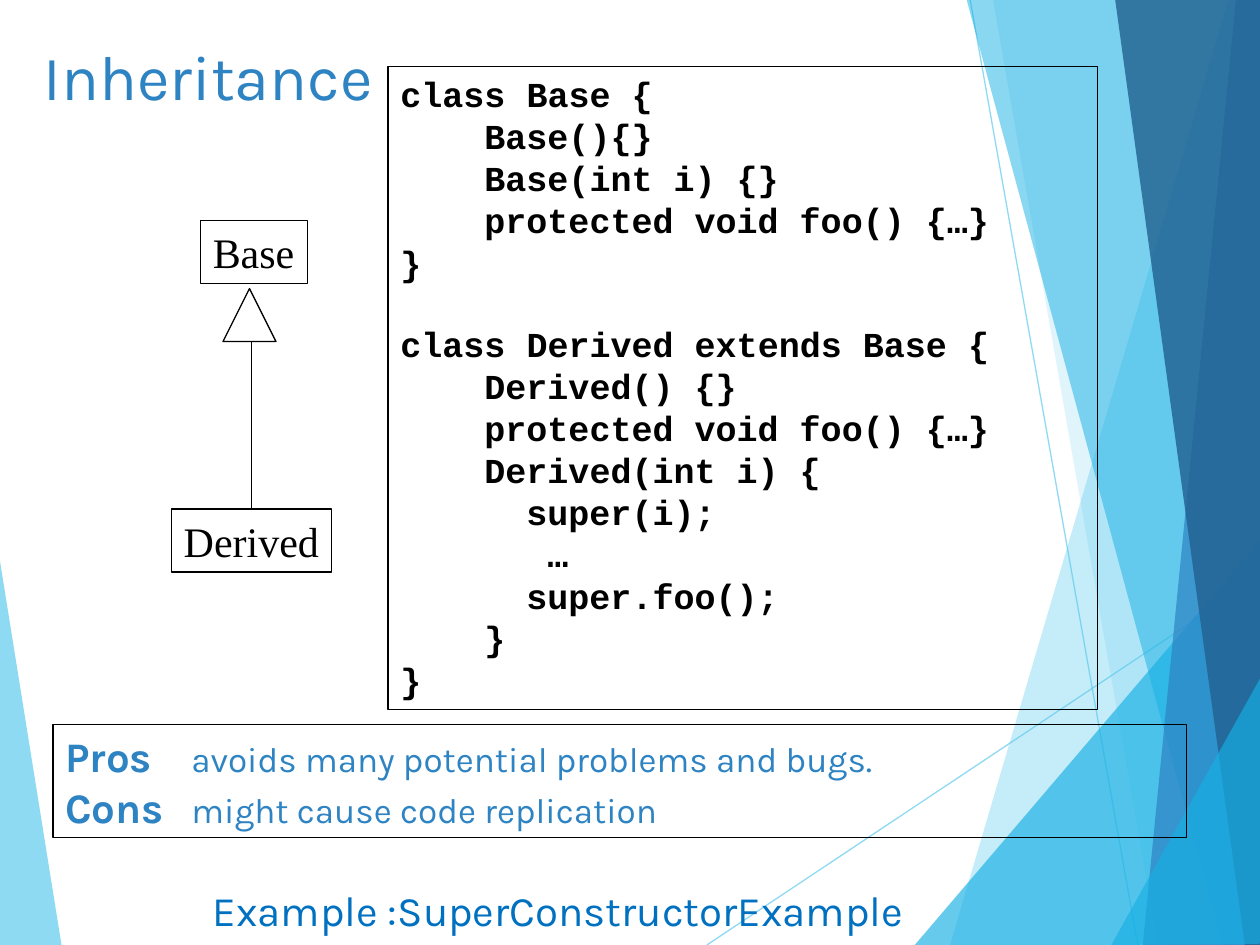
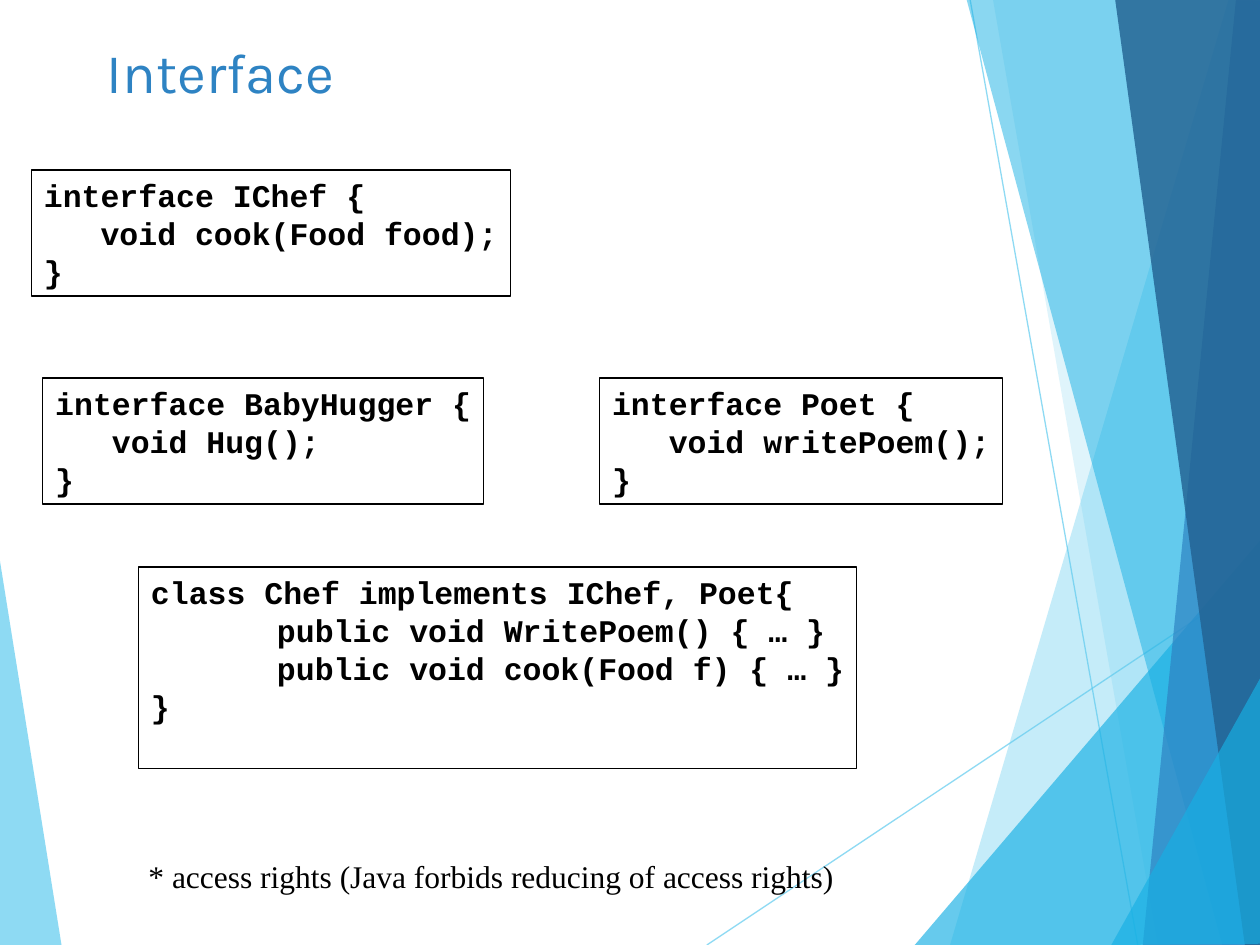
import pptx
import pptx.dml.color
import pptx.enum.shapes
import pptx.enum.text
import pptx.oxml.ns
import pptx.util
from dataclasses import dataclass
from lxml import etree

Inches = pptx.util.Inches
Pt = pptx.util.Pt
SHAPE = pptx.enum.shapes.MSO_SHAPE


@dataclass(frozen=True)
class Theme:
    sky: str = "5FCBEF"
    cyan: str = "17B0E4"
    blue: str = "2E83C3"
    navy: str = "236292"
    link: str = "0070C0"
    ink: str = "000000"
    heading_font: str = "Karla"
    code_font: str = "Courier New"
    serif_font: str = "Times New Roman"
    label_size: float = 24
    body_size: float = 20
    small_size: float = 18
    line_width: float = 0.75
    mono_advance: float = 0.6    # character width, in ems
    mono_leading: float = 1.133  # line height, in ems


THEME = Theme()

# Content -------------------------------------------------------------

INHERITANCE_TITLE = ("Inheritance", (0.25, 0.25, 3.67, 0.83), 36)
BASE_CLASS = ("Base", (1.59, 1.75, 0.85, 0.5))
DERIVED_CLASS = ("Derived", (1.36, 4.04, 1.27, 0.5))
INHERITANCE_ARROWHEAD = (1.77, 2.29, 0.42, 0.42)
INHERITANCE_CODE = ("""\
class Base {
    Base(){}
    Base(int i) {}
    protected void foo() {…}
}

class Derived extends Base {
    Derived() {}
    protected void foo() {…}
    Derived(int i) {
      super(i);
       …
      super.foo();
    }
}""", (3.08, 0.53, 5.63, 5.1))
TRADE_OFFS = [
    ("Pros", "avoids many potential problems and bugs."),
    ("Cons", "might cause code replication"),
]
TRADE_OFFS_AT = (0.42, 5.75, 9, 0.9)
EXAMPLE = ("Example :SuperConstructorExample", (1.59, 6.97, 5.83, 0.5))

INTERFACE_TITLE = ("Interface", (0.75, 0.25, 8.5, 0.58), 32)
INTERFACE_CODE = [
    ("interface Poet {\n   void writePoem();\n}", (4.76, 3, 3.2, 1)),
    ("interface IChef {\n   void cook(Food food);\n}", (0.25, 1.35, 3.8, 1)),
    ("interface BabyHugger {\n   void Hug();\n}", (0.34, 3, 3.5, 1)),
    ("class Chef implements IChef, Poet{\n"
     "\tpublic void WritePoem() { … }\n"
     "\tpublic void cook(Food f) { … }\n}", (1.1, 4.5, 5.7, 1.6)),
]
ACCESS_NOTE = ("* access rights (Java forbids reducing of access rights)",
               (1.08, 6.75, 7.33, 0.4))

# Backdrop: corner points, colour, opacity in percent
LEFT_WEDGE = ([(-0.01, 4.39), (0.49, 7.51), (-0.01, 7.5)], THEME.sky, 70)
RAYS = [((5.61, 7.5), (10.01, 4.57)), ((7.7, 0), (9.03, 7.5))]
RAY_OPACITY = 70
RIGHT_FACETS = [
    ([(9.75, 0), (7.54, 7.5), (10.02, 7.51), (10.01, 0.01)], THEME.sky, 36),
    ([(7.88, -0.01), (9.19, 7.5), (10.01, 7.5), (10.01, -0.01)], THEME.sky, 20),
    ([(7.26, 7.5), (10, 4.29), (10.01, 7.5)], THEME.cyan, 66),
    ([(7.67, -0.01), (9.7, 7.5), (10.01, 7.49), (10.01, -0.01)], THEME.cyan, 50),
    ([(9.81, -0.01), (9.07, 7.5), (10.01, 7.5), (10, -0.01)], THEME.blue, 70),
    ([(8.85, -0.01), (9.88, 7.5), (10.02, 7.5), (10, -0.01)], THEME.navy, 82),
    ([(8.82, 7.5), (10.02, 5.35), (10.02, 7.49)], THEME.cyan, 66),
]

# Drawing -------------------------------------------------------------


def rgb(colour):
    return pptx.dml.color.RGBColor.from_string(colour)


def set_opacity(properties, percent):
    """Make the first solid colour under the shape properties translucent."""
    colour = next(properties.iter(pptx.oxml.ns.qn("a:srgbClr")))
    alpha = etree.SubElement(colour, pptx.oxml.ns.qn("a:alpha"))
    alpha.set("val", str(percent * 1000))


def add_facet(slide, corners, colour, opacity):
    points = [(Inches(x), Inches(y)) for x, y in corners]
    builder = slide.shapes.build_freeform(*points[0])
    builder.add_line_segments(points[1:], close=True)
    facet = builder.convert_to_shape()
    facet.shadow.inherit = False
    facet.fill.solid()
    facet.fill.fore_color.rgb = rgb(colour)
    set_opacity(facet._element.spPr, opacity)
    facet.line.fill.background()


def add_line(slide, start, end, colour):
    line = slide.shapes.add_connector(
        pptx.enum.shapes.MSO_CONNECTOR.STRAIGHT,
        *(Inches(value) for value in (*start, *end)))
    line.line.color.rgb = rgb(colour)
    line.line.width = Pt(THEME.line_width)
    etree.SubElement(line._element.spPr, pptx.oxml.ns.qn("a:effectLst"))
    return line


def add_backdrop(slide):
    add_facet(slide, *LEFT_WEDGE)
    for start, end in RAYS:
        ray = add_line(slide, start, end, THEME.sky)
        set_opacity(ray._element.spPr, RAY_OPACITY)
    for facet in RIGHT_FACETS:
        add_facet(slide, *facet)


def style_run(run, size, font, colour, bold=False):
    run.font.size = Pt(size)
    run.font.name = font
    run.font.color.rgb = rgb(colour)
    run.font.bold = bold


def prepare_frame(frame):
    frame.word_wrap = True
    frame.margin_right = 0
    frame.vertical_anchor = pptx.enum.text.MSO_ANCHOR.TOP


def add_outline(slide, place, preset=SHAPE.RECTANGLE):
    """Add an unfilled shape with a thin black outline."""
    outline = slide.shapes.add_shape(preset, *map(Inches, place))
    outline.shadow.inherit = False
    outline.fill.background()
    outline.line.color.rgb = rgb(THEME.ink)
    outline.line.width = Pt(THEME.line_width)
    prepare_frame(outline.text_frame)
    return outline


def write_line(frame, text, size, font, colour, bold=False):
    frame.text = text
    paragraph = frame.paragraphs[0]
    paragraph.alignment = pptx.enum.text.PP_ALIGN.LEFT
    style_run(paragraph.runs[0], size, font, colour, bold)


def add_caption(slide, text, place, size, font, colour):
    caption = slide.shapes.add_textbox(*map(Inches, place))
    prepare_frame(caption.text_frame)
    write_line(caption.text_frame, text, size, font, colour)
    return caption


def add_title(slide, text, place, size):
    add_caption(slide, text, place, size, THEME.heading_font, THEME.blue)


def add_class_box(slide, name, place):
    box = add_outline(slide, place)
    write_line(box.text_frame, name, THEME.label_size, THEME.serif_font, THEME.ink)
    return box


def add_code(slide, code, place, size):
    """Turn leading blanks into paragraph indents and empty lines into spacing."""
    frame = add_outline(slide, place).text_frame
    source = code.split("\n")
    frame.text = "\n".join(line.strip() for line in source if line)
    paragraphs = iter(frame.paragraphs)
    gap = 0
    for line in source:
        if not line:
            gap += size * THEME.mono_leading
            continue
        paragraph = next(paragraphs)
        paragraph.alignment = pptx.enum.text.PP_ALIGN.LEFT
        paragraph.space_before = Pt(gap)
        gap = 0
        lead = line[:len(line) - len(line.lstrip())]
        indent = (Inches(lead.count("\t"))
                  + Pt(lead.count(" ") * size * THEME.mono_advance))
        properties = paragraph._p.get_or_add_pPr()
        properties.set("marL", str(indent))
        properties.set("indent", "0")
        style_run(paragraph.runs[0], size, THEME.code_font, THEME.ink, True)


def add_trade_offs(slide):
    frame = add_outline(slide, TRADE_OFFS_AT).text_frame
    for index, (heading, remark) in enumerate(TRADE_OFFS):
        paragraph = frame.add_paragraph() if index else frame.paragraphs[0]
        paragraph.text = heading + "\t"
        paragraph.alignment = pptx.enum.text.PP_ALIGN.LEFT
        style_run(paragraph.runs[0], THEME.label_size, THEME.heading_font,
                  THEME.blue, True)
        remark_run = paragraph.add_run()
        remark_run.text = remark
        style_run(remark_run, THEME.body_size, THEME.heading_font, THEME.blue)


def add_class_diagram(slide):
    add_class_box(slide, *BASE_CLASS)
    derived = add_class_box(slide, *DERIVED_CLASS)
    add_outline(slide, INHERITANCE_ARROWHEAD, SHAPE.ISOSCELES_TRIANGLE)
    left, top, width, _ = DERIVED_CLASS[1]
    middle = left + width / 2
    arrow_base = INHERITANCE_ARROWHEAD[1] + INHERITANCE_ARROWHEAD[3]
    stem = add_line(slide, (middle, top), (middle, arrow_base), THEME.ink)
    stem.begin_connect(derived, 0)


def build_inheritance(slide):
    add_title(slide, *INHERITANCE_TITLE)
    add_class_diagram(slide)
    add_code(slide, *INHERITANCE_CODE, THEME.body_size)
    add_trade_offs(slide)
    add_caption(slide, *EXAMPLE, THEME.label_size, THEME.heading_font, THEME.link)


def build_interface(slide):
    add_title(slide, *INTERFACE_TITLE)
    for code, place in INTERFACE_CODE:
        add_code(slide, code, place, THEME.small_size)
    note = add_caption(slide, *ACCESS_NOTE, THEME.small_size, THEME.serif_font,
                       THEME.ink)
    note.text_frame.paragraphs[0].space_before = Pt(11.2)


def main():
    deck = pptx.Presentation()
    deck.slide_width = Inches(10)
    deck.slide_height = Inches(7.5)
    blank = deck.slide_layouts[6]
    for build in (build_inheritance, build_interface):
        slide = deck.slides.add_slide(blank)
        add_backdrop(slide)
        build(slide)
    deck.save("out.pptx")


if __name__ == "__main__":
    main()
